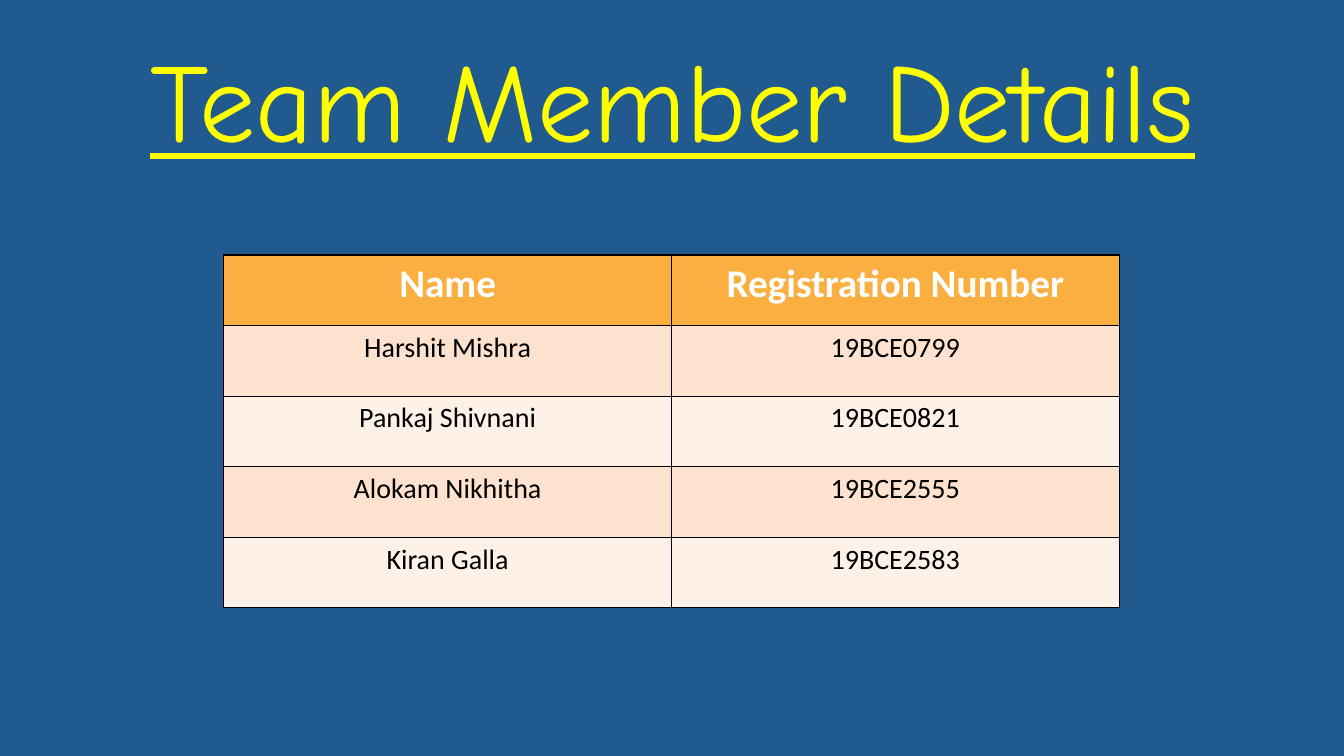
from lxml import etree
from pptx import Presentation
from pptx.dml.color import RGBColor
from pptx.enum import text
from pptx.oxml import ns
from pptx.util import Inches, Pt

TITLE = "Team Member Details"
HEADINGS = ("Name", "Registration Number")
MEMBERS = [
    ("Harshit Mishra", "19BCE0799"),
    ("Pankaj Shivnani", "19BCE0821"),
    ("Alokam Nikhitha", "19BCE2555"),
    ("Kiran Galla", "19BCE2583"),
]

BLUE = RGBColor(0x20, 0x5A, 0x8E)
YELLOW = RGBColor(0xFF, 0xFF, 0x00)
ORANGE = RGBColor(0xFA, 0xAF, 0x40)
PEACH = RGBColor(0xFD, 0xE3, 0xCF)
CREAM = RGBColor(0xFE, 0xF2, 0xE8)
WHITE = RGBColor(0xFF, 0xFF, 0xFF)
BLACK = RGBColor(0x00, 0x00, 0x00)

COLUMN_WIDTH = Inches(4.44)
ROW_HEIGHT = Inches(0.7)


def write(frame, words, *, size, font, color, bold=False, underline=False):
    para = frame.paragraphs[0]
    para.alignment = text.PP_ALIGN.CENTER
    span = para.add_run()
    span.text = words
    span.font.size = Pt(size)
    span.font.name = font
    span.font.color.rgb = color
    span.font.bold = bold
    span.font.underline = underline
    return para


def add_borders(cell, color, width):
    properties = cell._tc.get_or_add_tcPr()
    for side in ("a:lnL", "a:lnR", "a:lnT", "a:lnB"):
        line = etree.SubElement(properties, ns.qn(side), w=str(Pt(width)))
        fill = etree.SubElement(line, ns.qn("a:solidFill"))
        etree.SubElement(fill, ns.qn("a:srgbClr"), val=str(color))


def add_title(page):
    box = page.shapes.title
    box.left, box.top = Inches(0.45), Inches(0.4)
    box.width, box.height = Inches(12.44), Inches(1.63)
    frame = box.text_frame
    frame.word_wrap = True
    frame.auto_size = text.MSO_AUTO_SIZE.NONE
    frame.vertical_anchor = text.MSO_ANCHOR.TOP
    para = write(frame, TITLE, size=80, font="Comic Neue", color=YELLOW, underline=True)
    para.line_spacing = 0.9
    para.space_before = Pt(10)


def add_members(page):
    rows = [HEADINGS, *MEMBERS]
    table = page.shapes.add_table(
        len(rows), len(HEADINGS), Inches(2.22), Inches(2.53),
        COLUMN_WIDTH * len(HEADINGS), ROW_HEIGHT * len(rows),
    ).table
    for column in table.columns:
        column.width = COLUMN_WIDTH
    for index, values in enumerate(rows):
        table.rows[index].height = ROW_HEIGHT
        heading = index == 0
        background = ORANGE if heading else (CREAM, PEACH)[index % 2]
        for position, value in enumerate(values):
            cell = table.cell(index, position)
            add_borders(cell, BLACK, 1)
            cell.fill.solid()
            cell.fill.fore_color.rgb = background
            write(cell.text_frame, value, size=28 if heading else 20, font="Calibri",
                  color=WHITE if heading else BLACK, bold=heading)


def main():
    deck = Presentation()
    deck.slide_width, deck.slide_height = Inches(13.33), Inches(7.5)
    page = deck.slides.add_slide(deck.slide_layouts[5])
    page.background.fill.solid()
    page.background.fill.fore_color.rgb = BLUE
    add_members(page)
    add_title(page)
    deck.save("out.pptx")


if __name__ == "__main__":
    main()
